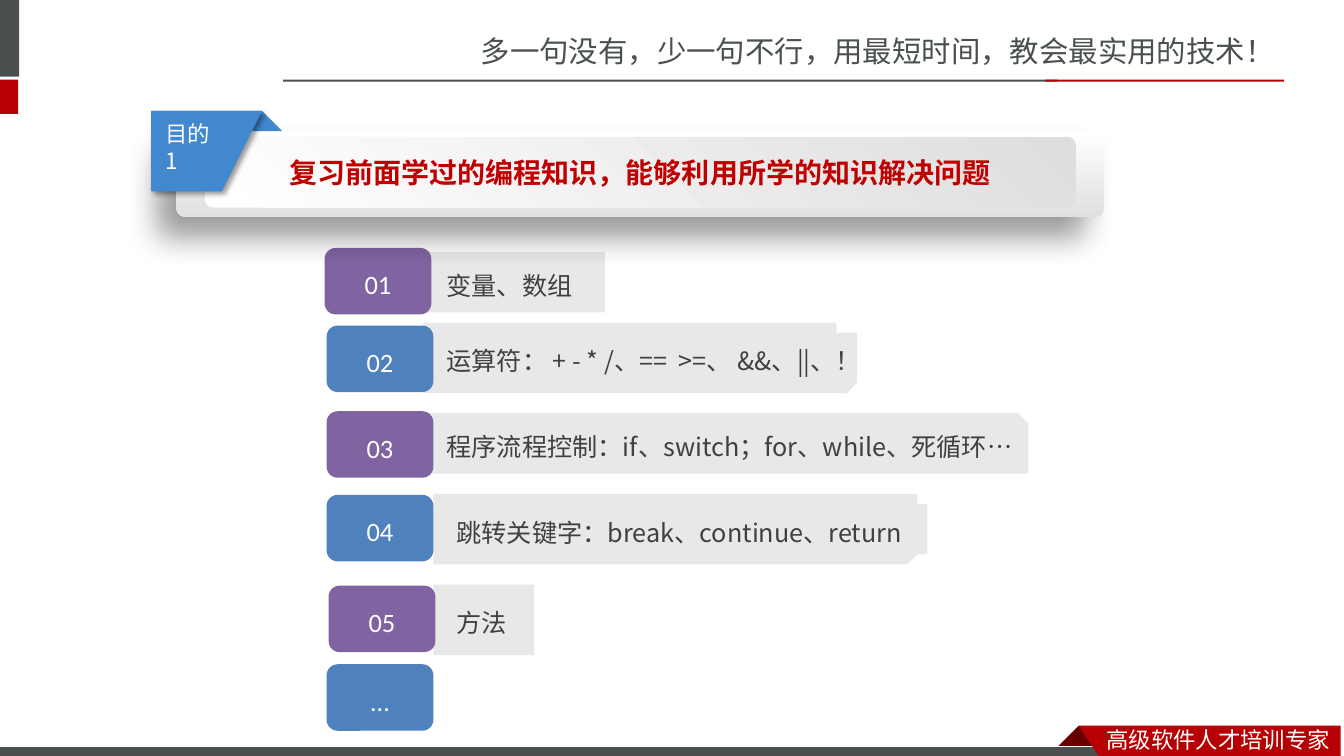
from math import cos, pi, sin
from lxml import etree
from pptx import Presentation, util as u
from pptx.dml.color import RGBColor
from pptx.enum import shapes as s, text as t
from pptx.oxml import ns

# Grid: one cell is a tenth of an inch
cell = u.Inches(0.1)
deck = Presentation()
deck.slide_width, deck.slide_height = int(133.33 * cell), 75 * cell
slide = deck.slides.add_slide(deck.slide_layouts[6])
items = slide.shapes
SC, JP = "Noto Sans CJK SC", "Noto Sans CJK JP"
GREY, RED, BLUE, PURPLE = "49504F", "B60004", "4F81BD", "8064A2"


def draw(area, *tints, kind="RECTANGLE", turn=0):
    """Area is a box (left, top, width, height) or a list of corner points."""
    if isinstance(area, list):
        pen = items.build_freeform(*area[0], scale=cell)
        pen.add_line_segments(area[1:], close=True)
        form = pen.convert_to_shape()
    else:
        form = items.add_shape(s.MSO_SHAPE[kind], *[int(n * cell) for n in area])
    form.shadow.inherit = False
    form.line.fill.background()
    if len(tints) == 1:
        form.fill.solid()
        form.fill.fore_color.rgb = RGBColor.from_string(tints[0])
    else:
        form.fill.gradient()
        form.fill.gradient_angle = turn
        for stop, tint in zip(form.fill.gradient_stops, tints):
            stop.color.rgb = RGBColor.from_string(tint)
    return form


def write(form, words, size, tint, face, inset=(1, 0.5, 1, 0.5),
          align="LEFT", anchor="MIDDLE", lead=1.0, bold=False):
    frame = form.text_frame
    frame.text = words
    frame.word_wrap = True
    frame.vertical_anchor = t.MSO_ANCHOR[anchor]
    (frame.margin_left, frame.margin_top,
     frame.margin_right, frame.margin_bottom) = [int(n * cell) for n in inset]
    para = frame.paragraphs[0]
    para.alignment = t.PP_ALIGN[align]
    para.line_spacing = lead
    font = para.runs[0].font
    font.size, font.bold, font.name = u.Pt(size), bold, face
    font.color.rgb = RGBColor.from_string(tint)
    east = etree.SubElement(font._element, ns.qn("a:ea"))
    east.set("typeface", face)
    font._element.find(ns.qn("a:latin")).addnext(east)


# Side marks and header rules
for area, tint in [((-0.6, 0, 2.5, 7.6), GREY), ((-0.6, 7.9, 2.4, 3.4), RED),
                   ((28.1, 7.9, 76.8, 0.2), GREY), ((103.7, 7.9, 23.7, 0.2), RED)]:
    draw(area, tint)

# Footer band and ribbon
draw([(107.3, 72), (109.5, 74.2), (109.4, 74.3), (105.2, 74.3), (105.1, 74.2)], "680000")
base = draw((-0.1, 74.1, 110, 1.2), GREY)
base.line.color.rgb = RGBColor.from_string("FFFFFF")
base.line.width = u.Pt(0.75)
draw([(107.3, 72), (133.3, 72), (133.3, 75.4), (108.6, 75.3)], RED)

# Topic rows: grey bar, then number tile
rows = [
    (32.2, 24.6, 42.2, 18, "变量、数组"),
    (32.4, 32.3, 42.4, 42.9, "运算符： + - * /、==  >=、 &&、||、！"),
    (32.4, 40.8, 42.4, 59.6, "程序流程控制：if、switch；for、while、死循环…"),
    (32.4, 49.1, 42.7, 49.2, "跳转关键字：break、continue、return"),
    (32.6, 58.1, 42.6, 10.6, "方法"),
    (32.4, 65.9, 0, 0, ""),
]
high, round_y = 6.3, 1.05
for i, (x, y, left, wide, words) in enumerate(rows):
    if words:
        top, right, round_x = y + 0.2, left + wide, wide / 16
        turns = [k * pi / 16 for k in range(9)]
        upper = [(right - round_x * (1 - sin(a)), top + round_y * (1 - cos(a)))
                 for a in turns]
        lower = [(px, 2 * top + high - py) for px, py in reversed(upper)]
        bar = draw([(left, top), *upper, *lower, (left, top + high)], "E6E6E6")
        tone = bar._element.spPr.find(".//" + ns.qn("a:srgbClr"))
        etree.SubElement(tone, ns.qn("a:alpha")).set("val", "90000")
        write(bar, words, 18, "404040", JP, (2.3, 0.8, 0.8, 0.8), lead=1.2)
    tile = draw((x, y, 10.6, 6.6), (PURPLE, BLUE)[i % 2], kind="ROUNDED_RECTANGLE")
    write(tile, f"0{i + 1}" if words else "…", 18.9, "FFFFFF", "Calibri",
          (0, 0, 0, 0), "CENTER", lead=1.2)

# Goal banner with folded tag
plate = draw((17.5, 13, 92, 8.5), "FFFFFF", "E0E0E0", kind="ROUNDED_RECTANGLE", turn=270)
plate.adjustments[0] = 0.1
goal = draw((20.3, 13.6, 86.4, 7), "FFFFFF", "DDDEDD", kind="ROUNDED_RECTANGLE", turn=45)
goal.adjustments[0] = 0.12
write(goal, "复习前面学过的编程知识，能够利用所学的知识解决问题", 20, "C00000", JP,
      (0.6, 0.3, 0.6, 0.3), "CENTER", bold=True)
draw([(15.4, 11.3), (26, 11.3), (28.2, 12.8), (15.4, 12.8)], "4188CE")
tag = draw([(15.1, 11.3), (26, 11.3), (21.9, 18.9), (14.8, 18.8)], "4188CE")

# Soft shadows: blur and distance in points, angle in degrees
for form, blur, far, angle in [(plate, 22, 20, 135), (tag, 4, 3, 45)]:
    glow = etree.SubElement(form._element.spPr.find(ns.qn("a:effectLst")),
                            ns.qn("a:outerShdw"), blurRad=str(u.Pt(blur)),
                            dist=str(u.Pt(far)), dir=str(angle * 60000), rotWithShape="0")
    tone = etree.SubElement(glow, ns.qn("a:srgbClr"), val="000000")
    etree.SubElement(tone, ns.qn("a:alpha"), val="40000")

# Free text: slogan, footer and tag label
for area, words, size, tint in [
        ((46.7, 2.8, 86.6, 4.5), "多一句没有，少一句不行，用最短时间，教会最实用的技术！", 21, GREY),
        ((108.8, 71.5, 24.5, 3.7), "高级软件人才培训专家", 16, "FFFFFF"),
        ((15.4, 11.4, 7, 3.7), "目的1", 16, "FFFFFF")]:
    box = items.add_textbox(*[int(n * cell) for n in area])
    write(box, words, size, tint, SC, anchor="TOP")

deck.save("out.pptx")
